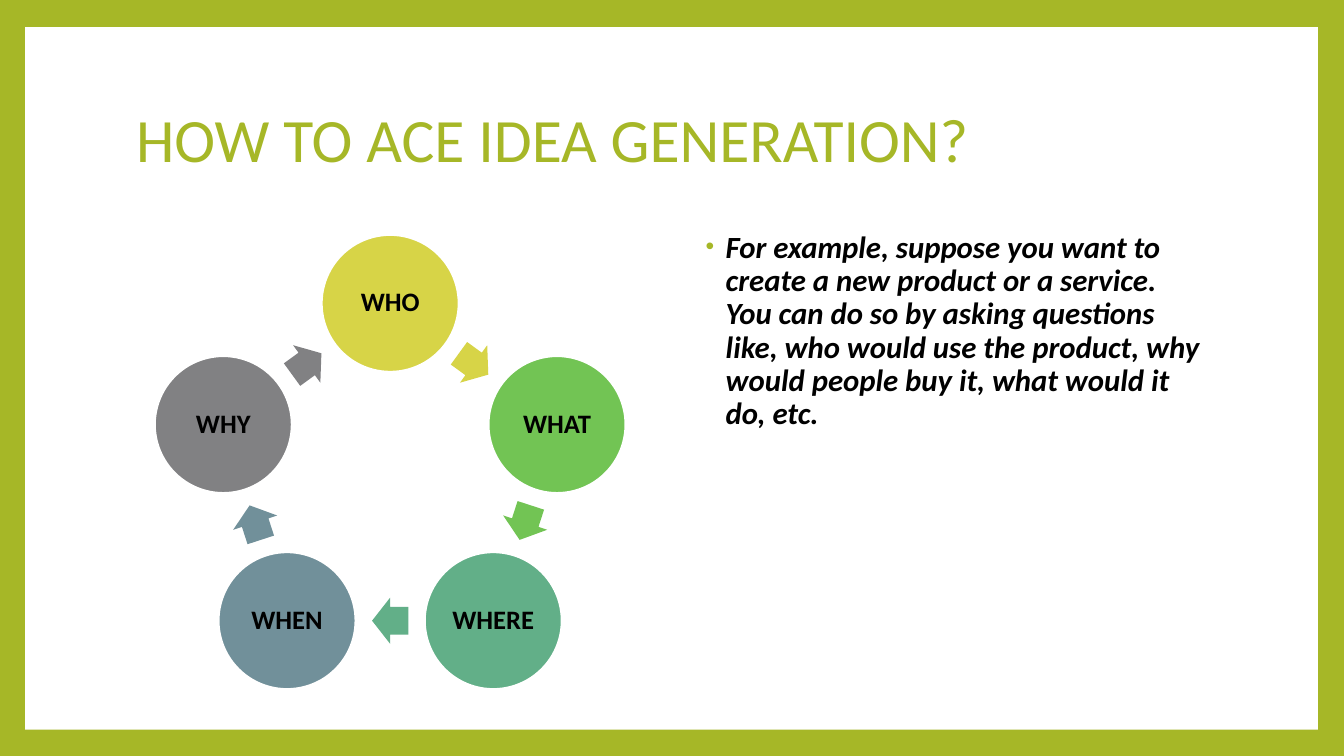
import math

import pptx
import pptx.dml.color
import pptx.enum.shapes
import pptx.enum.text
import pptx.oxml.ns
import pptx.util
from lxml import etree
from pptx.util import Inches

GREEN, WHITE, BLACK = "A6B727", "FFFFFF", "000000"
QUESTIONS = [("WHO", "D7D447"), ("WHAT", "72C454"), ("WHERE", "62AF88"),
             ("WHEN", "71909A"), ("WHY", "818183")]
EXAMPLE = ("For example, suppose you want to create a new product or a service. "
           "You can do so by asking questions like, who would use the product, "
           "why would people buy it, what would it do, etc.")
SHAPES = pptx.enum.shapes.MSO_SHAPE
ALIGN = pptx.enum.text.PP_ALIGN
ANCHOR = pptx.enum.text.MSO_ANCHOR


def rgb(value):
    return pptx.dml.color.RGBColor.from_string(value)


def set_all(target, values):
    for name, value in values.items():
        setattr(target, name, value)


class SlideBuilder:
    font = "Calibri"

    def __init__(self, deck):
        self.slide = deck.slides.add_slide(deck.slide_layouts[5])

    def background(self, color):
        fill = self.slide.background.fill
        fill.solid()
        fill.fore_color.rgb = rgb(color)

    def add_text(self, frame, text, size, color, align, anchor, inset=None, **style):
        set_all(frame, {"word_wrap": True, "vertical_anchor": anchor})
        if inset is not None:
            sides = ("left", "top", "right", "bottom")
            set_all(frame, {f"margin_{side}": Inches(inset) for side in sides})
        paragraph = frame.paragraphs[0]
        set_all(paragraph, {"alignment": align, "line_spacing": 0.9})
        run = paragraph.add_run()
        run.text = text
        set_all(run.font, {"name": self.font, "size": pptx.util.Pt(size), **style})
        run.font.color.rgb = rgb(color)
        return paragraph

    def title(self, text, box):
        heading = self.slide.shapes.title
        set_all(heading, dict(zip(("left", "top", "width", "height"), map(Inches, box))))
        self.add_text(heading.text_frame, text, 44, GREEN, ALIGN.LEFT, ANCHOR.MIDDLE)
        # Bring the heading in front of the panel
        self.slide.shapes._spTree.append(heading._element)

    def bullet(self, text, box):
        frame = self.slide.shapes.add_textbox(*map(Inches, box)).text_frame
        paragraph = self.add_text(frame, text, 22, BLACK, ALIGN.LEFT, ANCHOR.TOP,
                                  bold=True, italic=True)
        paragraph.space_before = pptx.util.Pt(14)
        props = paragraph._p.get_or_add_pPr()
        props.set("marL", str(Inches(0.25)))
        props.set("indent", str(Inches(-0.2)))
        qn = pptx.oxml.ns.qn
        marker_color = etree.SubElement(props, qn("a:buClr"))
        etree.SubElement(marker_color, qn("a:srgbClr"), val=GREEN)
        etree.SubElement(props, qn("a:buSzPct"), val="80000")
        etree.SubElement(props, qn("a:buFont"), typeface="Arial")
        etree.SubElement(props, qn("a:buChar"), char="•")

    def shape(self, kind, box, color, outline=None, parent=None):
        shapes = (parent or self.slide).shapes
        item = shapes.add_shape(kind, *map(Inches, box))
        item.shadow.inherit = False
        item.fill.solid()
        item.fill.fore_color.rgb = rgb(color)
        if outline:
            item.line.color.rgb = rgb(outline)
            item.line.width = pptx.util.Pt(1.5)
        else:
            item.line.fill.background()
        return item

    def cycle(self, steps, center, ring):
        group = self.slide.shapes.add_group_shape()
        turn = 360 / len(steps)

        def box_at(angle, radius, width, height):
            x = center[0] + radius * math.sin(math.radians(angle))
            y = center[1] - radius * math.cos(math.radians(angle))
            return x - width / 2, y - height / 2, width, height

        for index, (word, color) in enumerate(steps):
            angle = index * turn
            question = self.shape(SHAPES.OVAL, box_at(angle, ring, 1.36, 1.36),
                                  color, WHITE, group)
            self.add_text(question.text_frame, word, 19, BLACK, ALIGN.CENTER,
                          ANCHOR.MIDDLE, inset=0.03, bold=True)
            # Arrow halfway to the next question
            halfway = angle + turn / 2
            arrow_ring = ring * math.cos(math.radians(turn / 2))
            arrow = self.shape(SHAPES.RIGHT_ARROW,
                               box_at(halfway, arrow_ring, 0.36, 0.46), color, parent=group)
            arrow.adjustments[0] = 0.6
            arrow.adjustments[1] = 0.5
            arrow.rotation = halfway


def main():
    deck = pptx.Presentation()
    set_all(deck, {"slide_width": Inches(13.33), "slide_height": Inches(7.5)})
    builder = SlideBuilder(deck)

    # Frame and heading
    builder.background(GREEN)
    builder.shape(SHAPES.RECTANGLE, (0.25, 0.27, 12.82, 6.97), WHITE)
    builder.title("HOW TO ACE IDEA GENERATION?", (1.25, 0.67, 10.8, 1.48))

    # Example and cycle of questions
    builder.bullet(EXAMPLE, (6.85, 2.25, 5.2, 4.4))
    builder.cycle(QUESTIONS, center=(3.87, 4.75), ring=1.74)

    deck.save("out.pptx")


if __name__ == "__main__":
    main()
